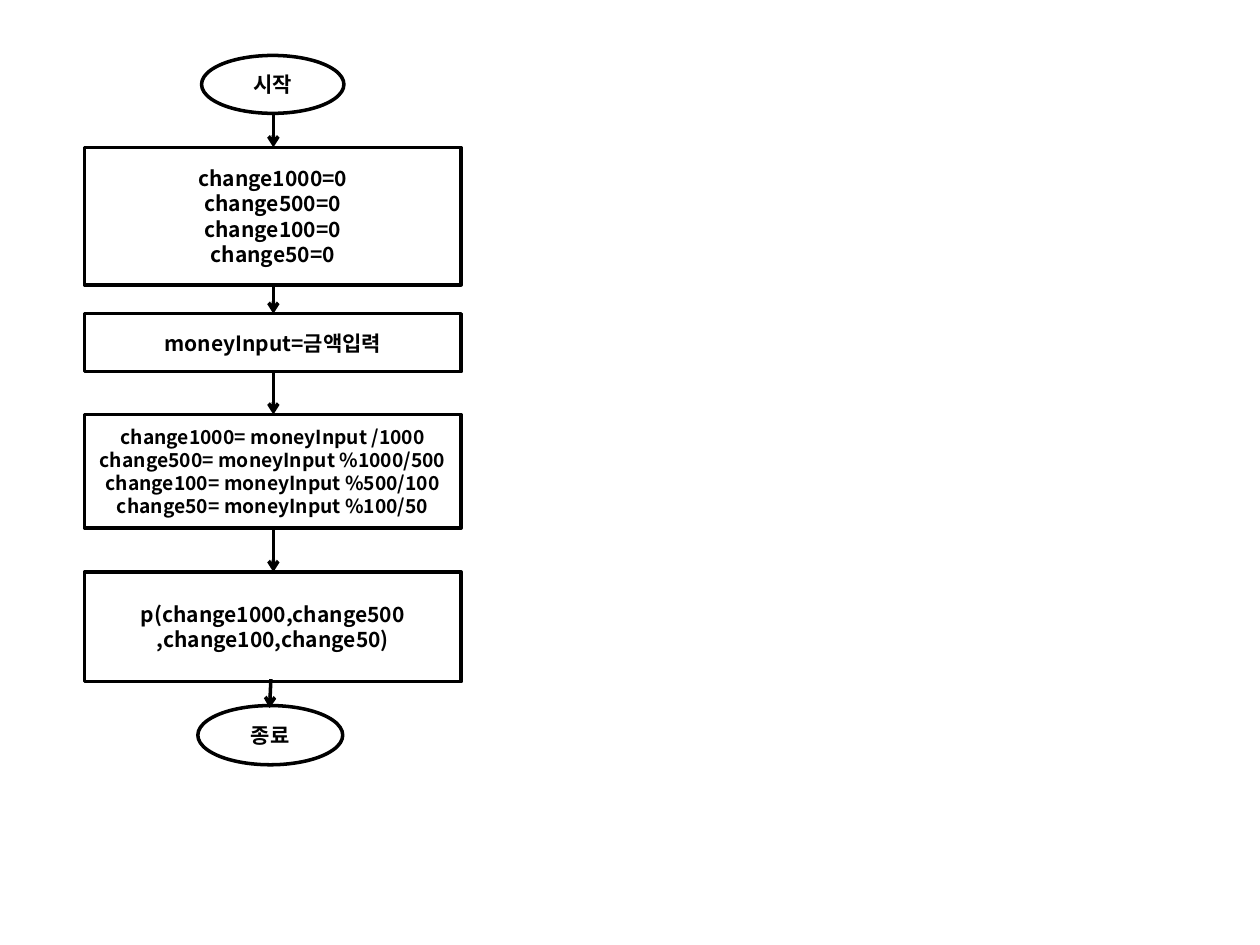
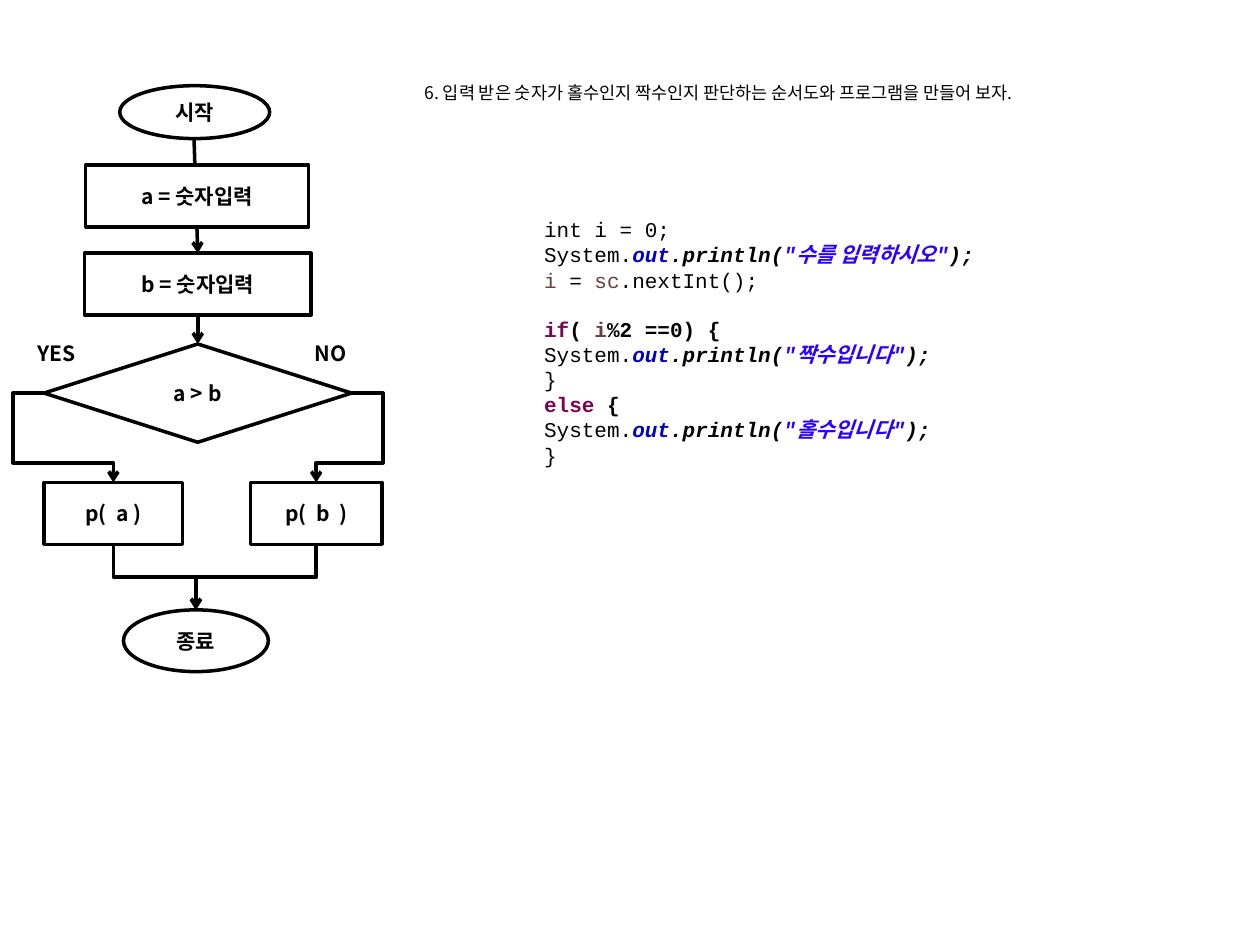
from lxml.etree import SubElement
from pptx import Presentation
from pptx.dml.color import RGBColor
from pptx.enum.shapes import MSO_CONNECTOR, MSO_SHAPE
from pptx.enum.text import MSO_ANCHOR, PP_ALIGN
from pptx.oxml.ns import qn
from pptx.util import Inches, Pt

SANS, MONO = "Noto Sans CJK KR", "Courier New"
BLACK = "000000"
OVAL, BOX, DIAMOND = MSO_SHAPE.OVAL, MSO_SHAPE.FLOWCHART_PROCESS, MSO_SHAPE.FLOWCHART_DECISION
TOP, LEFT, BOTTOM, RIGHT = range(4)
CODE_STYLES = {
    "plain": (BLACK, False, False),
    "bold": (BLACK, True, False),
    "call": (BLACK, True, True),
    "field": ("0000C0", True, True),
    "string": ("2A00FF", True, True),
    "var": ("6A3E3E", False, False),
    "boldvar": ("6A3E3E", True, False),
    "keyword": ("7F0055", True, False),
}


def rgb(color):
    return RGBColor.from_string(color)


def println(text):
    return [("System.", "plain"), ("out", "field"), (".println(", "call"),
            (f'"{text}"', "string"), (");", "call")]


class Flowchart:
    """Draws flowchart elements in one style on the current slide."""

    def __init__(self, prs):
        self.prs = prs

    def new_slide(self):
        self.s = self.prs.slides.add_slide(self.prs.slide_layouts[6])

    def run(self, p, text, size=12, color=BLACK, bold=False, italic=False, font=SANS):
        r = p.add_run()
        r.text = text
        f = r.font
        f.size, f.bold, f.italic, f.name = Pt(size), bold, italic, font
        f.color.rgb = rgb(color)
        SubElement(f._element, qn("a:ea"), typeface=SANS)

    def paragraphs(self, tf, count):
        return [tf.paragraphs[0]] + [tf.add_paragraph() for _ in range(count - 1)]

    def node(self, kind, x, y, w, h, *lines, size=12, fill=None):
        sp = self.s.shapes.add_shape(kind, Inches(x), Inches(y), Inches(w), Inches(h))
        sp.shadow.inherit = False
        if fill:
            sp.fill.solid()
            sp.fill.fore_color.rgb = rgb(fill)
        else:
            sp.fill.background()
        sp.line.color.rgb = rgb(BLACK)
        sp.line.width = Pt(2)
        tf = sp.text_frame
        tf.word_wrap = True
        tf.vertical_anchor = MSO_ANCHOR.MIDDLE
        for p, line in zip(self.paragraphs(tf, len(lines)), lines):
            p.alignment = PP_ALIGN.CENTER
            self.run(p, line, size, bold=True)
        return sp

    def textbox(self, x, y, w, h):
        tf = self.s.shapes.add_textbox(Inches(x), Inches(y), Inches(w), Inches(h)).text_frame
        tf.word_wrap = True
        return tf

    def label(self, x, y, w, h, text, size=12, bold=True):
        self.run(self.textbox(x, y, w, h).paragraphs[0], text, size, bold=bold)

    def code(self, x, y, w, h, lines, gap_before):
        tf = self.textbox(x, y, w, h)
        for i, (p, line) in enumerate(zip(self.paragraphs(tf, len(lines)), lines)):
            if i == gap_before:
                p.space_before = Pt(13.6)
            for text, style in line:
                self.run(p, text, 12, *CODE_STYLES[style], font=MONO)

    def style_arrow(self, c):
        c.line.color.rgb = rgb(BLACK)
        c.line.width = Pt(2)
        sp_pr = c._element.spPr
        SubElement(sp_pr.find(qn("a:ln")), qn("a:tailEnd"), type="arrow")
        SubElement(sp_pr, qn("a:effectLst"))

    def arrow(self, x1, y1, x2, y2):
        c = self.s.shapes.add_connector(
            MSO_CONNECTOR.STRAIGHT, Inches(x1), Inches(y1), Inches(x2), Inches(y2))
        self.style_arrow(c)

    def elbow(self, start, start_site, end):
        c = self.s.shapes.add_connector(MSO_CONNECTOR.ELBOW, 0, 0, 0, 0)
        c.begin_connect(start, start_site)
        c.end_connect(end, TOP)
        self.style_arrow(c)
        return c

    def side_elbow(self, start, site, end, out, down):
        geom = self.elbow(start, site, end)._element.spPr.find(qn("a:prstGeom"))
        geom.set("prst", "bentConnector4")
        guides = geom.find(qn("a:avLst"))
        for name, share in (("adj1", out), ("adj2", down)):
            SubElement(guides, qn("a:gd"), name=name, fmla=f"val {round(share * 100000)}")

    def down_elbow(self, start, end):
        c = self.elbow(start, BOTTOM, end)
        leftward = c.end_x < c.begin_x
        x, y, w, h = c.left, c.top, c.width, c.height
        c.left, c.top = x + (w - h) // 2, y + (h - w) // 2
        c.width, c.height = h, w
        xfrm = c._element.spPr.find(qn("a:xfrm"))
        xfrm.set("rot", str((90 if leftward else 270) * 60000))
        xfrm.set("flipH", "0" if leftward else "1")


def change_slide(f):
    f.new_slide()
    x, w, mid = 0.67, 2.99, 2.17
    coins = (1000, 500, 100, 50)
    f.node(OVAL, 1.6, 0.44, 1.13, 0.46, "시작")
    f.node(BOX, x, 1.17, w, 1.09, *[f"change{coin}=0" for coin in coins])
    f.node(BOX, x, 2.49, w, 0.46, "moneyInput=금액입력")
    f.node(BOX, x, 3.29, w, 0.9,
           "change1000= moneyInput /1000",
           *[f"change{b}= moneyInput %{a}/{b}" for a, b in zip(coins, coins[1:])], size=11)
    f.node(BOX, x, 4.54, w, 0.87, "p(change1000,change500", ",change100,change50)")
    f.node(OVAL, 1.57, 5.6, 1.15, 0.47, "종료")
    for y1, y2 in ((0.9, 1.17), (2.25, 2.49), (2.95, 3.29), (4.19, 4.54)):
        f.arrow(mid, y1, mid, y2)
    f.arrow(2.15, 5.39, 2.14, 5.62)


def odd_even_slide(f):
    f.new_slide()
    f.node(OVAL, 0.95, 0.68, 1.19, 0.42, "시작")
    f.arrow(1.54, 1.1, 1.57, 2.01)
    f.node(BOX, 0.68, 1.31, 1.77, 0.49, "a = 숫자입력", fill="FFFFFF")
    f.node(BOX, 0.67, 2.01, 1.8, 0.49, "b = 숫자입력")
    f.arrow(1.57, 2.5, 1.57, 2.73)
    test = f.node(DIAMOND, 0.35, 2.73, 2.44, 0.78, "a > b")
    print_a = f.node(BOX, 0.35, 3.83, 1.1, 0.49, "p(  a )")
    print_b = f.node(BOX, 1.99, 3.83, 1.04, 0.49, "p(  b  )")
    end = f.node(OVAL, 0.98, 4.84, 1.15, 0.49, "종료")
    f.label(0.2, 2.65, 0.7, 0.3, "YES")
    f.label(2.4, 2.65, 0.71, 0.3, "NO")
    f.side_elbow(test, LEFT, print_a, -0.45, 0.78)
    f.side_elbow(test, RIGHT, print_b, -0.89, 0.78)
    for box in (print_a, print_b):
        f.down_elbow(box, end)
    f.label(3.24, 0.6, 6.41, 0.27,
            " 6. 입력 받은 숫자가 홀수인지 짝수인지 판단하는 순서도와 프로그램을 만들어 보자.",
            size=10, bold=False)
    f.code(4.22, 1.67, 5, 2.12, [
        [("int i = 0;", "plain")],
        println("수를 입력하시오"),
        [("i", "var"), (" = ", "plain"), ("sc", "var"), (".nextInt();", "plain")],
        [("if", "keyword"), ("( ", "bold"), ("i", "boldvar"), ("%2 ==0) {", "bold")],
        println("짝수입니다"),
        [("}", "plain")],
        [("else", "keyword"), (" {", "bold")],
        println("홀수입니다"),
        [("}", "plain")],
    ], gap_before=3)


def main():
    prs = Presentation()
    prs.slide_width, prs.slide_height = Inches(10), Inches(7.5)
    f = Flowchart(prs)
    change_slide(f)
    odd_even_slide(f)
    prs.save("out.pptx")


if __name__ == "__main__":
    main()
